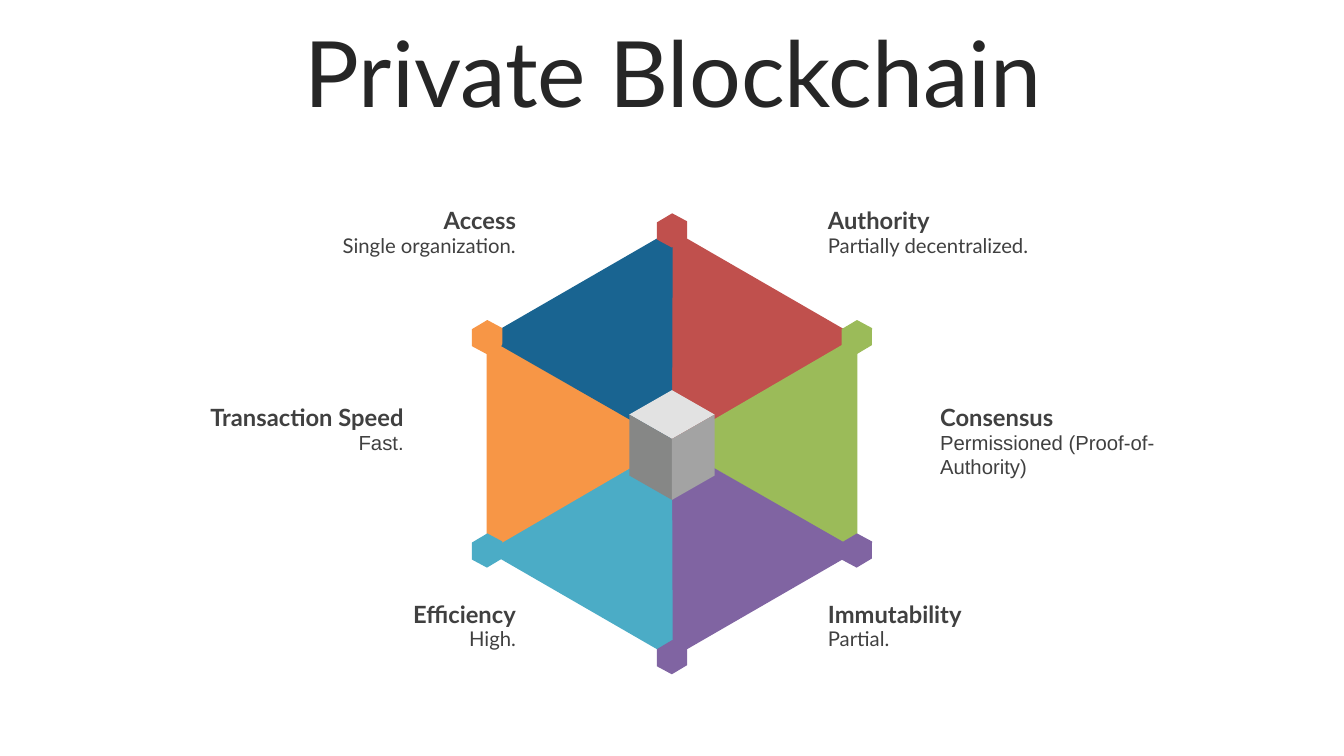
from math import cos, radians, sin
from pptx import Presentation, util as u
from pptx.dml.color import RGBColor
from pptx.enum import shapes, text

TITLE = "Private Blockchain"
LABELS = [
    ("Authority", "Partially decentralized.", "Lato", 1, 0),
    ("Consensus", "Permissioned (Proof-of-Authority)", "Arial", 1, 1),
    ("Immutability", "Partial.", "Lato", 1, 2),
    ("Access", "Single organization.", "Lato", -1, 0),
    ("Transaction Speed", "Fast.", "Arial", -1, 1),
    ("Efficiency", "High.", "Lato", -1, 2),
]
THEME = {
    "red": "C0504D", "green": "9BBB59", "purple": "8064A2",
    "teal": "4BACC6", "orange": "F79646", "blue": "196491",
    "top": "E2E2E2", "left": "868786", "right": "A3A3A3",
    "title": "262626", "text": "404040",
    "font": "Lato", "big": 54, "head": 14, "body": 12,
}
WEDGES = ["red", "green", "purple", "teal", "orange", "blue"]
NODES = ["red", "green", "purple", "purple", "teal", "orange"]

WIDE, HIGH = 11.02, 6.2
MIDX, MIDY = WIDE / 2, 3.64
STEP = 60


def color(name):
    return RGBColor.from_string(THEME[name])


def paint(shape, name):
    shape.shadow.inherit = False
    shape.fill.solid()
    shape.fill.fore_color.rgb = color(name)
    shape.line.fill.background()


def write(shape, words, size="body", font=THEME["font"], tint="text",
          bold=False, align=text.PP_ALIGN.LEFT, anchor=text.MSO_ANCHOR.TOP):
    frame = shape.text_frame
    frame.word_wrap = True
    frame.auto_size = text.MSO_AUTO_SIZE.NONE
    frame.vertical_anchor = anchor
    para = frame.paragraphs[0]
    para.alignment = align
    run = para.add_run()
    run.text = words
    run.font.name = font
    run.font.size = u.Pt(THEME[size])
    run.font.bold = bold
    run.font.color.rgb = color(tint)
    return para


def box(x, y, w, h):
    return [u.Inches(v) for v in (x, y, w, h)]


def ring(slide, kind, names, start, far, w, h):
    for i, name in enumerate(names):
        deg = start + i * STEP
        x = MIDX + far * cos(radians(deg))
        y = MIDY + far * sin(radians(deg))
        shape = slide.shapes.add_shape(kind, *box(x - w / 2, y - h / 2, w, h))
        paint(shape, name)
        yield shape, deg


def cube(slide, x, y, half, rise, deep):
    faces = {
        "top": [(0, -rise), (half, 0), (0, rise), (-half, 0)],
        "left": [(-half, 0), (0, rise), (0, rise + deep), (-half, deep)],
        "right": [(half, 0), (0, rise), (0, rise + deep), (half, deep)],
    }
    for name, face in faces.items():
        dots = [(u.Inches(x + a), u.Inches(y + b)) for a, b in face]
        path = slide.shapes.build_freeform(*dots[0])
        path.add_line_segments(dots[1:], close=True)
        paint(path.convert_to_shape(), name)


def label(slide, head, body, font, side, row):
    wide = 2.6
    gap = 2.1 if row == 1 else 1.18
    x = MIDX + gap if side > 0 else MIDX - gap - wide
    y = 1.64 + row * 1.615
    align = text.PP_ALIGN.LEFT if side > 0 else text.PP_ALIGN.RIGHT
    write(slide.shapes.add_textbox(*box(x, y, wide, 0.33)), head,
          size="head", bold=True, align=align)
    write(slide.shapes.add_textbox(*box(x, y + 0.22, wide, 0.5)), body,
          font=font, align=align)


def main():
    deck = Presentation()
    deck.slide_width, deck.slide_height = u.Inches(WIDE), u.Inches(HIGH)
    slide = deck.slides.add_slide(deck.slide_layouts[5])

    title = slide.shapes.title
    title.left, title.top, title.width, title.height = box(0.29, 0.31, 10.46, 0.65)
    para = write(title, TITLE, size="big", tint="title",
                 align=text.PP_ALIGN.CENTER, anchor=text.MSO_ANCHOR.MIDDLE)
    para.line_spacing = 0.9
    para.space_before = u.Pt(10)

    kind = shapes.MSO_SHAPE
    for wedge, deg in ring(slide, kind.ISOSCELES_TRIANGLE, WEDGES, -60, 0.76, 1.77, 1.52):
        wedge.rotation = (deg + 270) % 360
    for node, deg in ring(slide, kind.HEXAGON, NODES, -90, 1.75, 0.29, 0.24):
        node.adjustments[0] = 0.3
        node.rotation = 329.2
    cube(slide, MIDX, 3.4, 0.35, 0.2, 0.5)

    for item in LABELS:
        label(slide, *item)
    deck.save("out.pptx")


if __name__ == "__main__":
    main()
